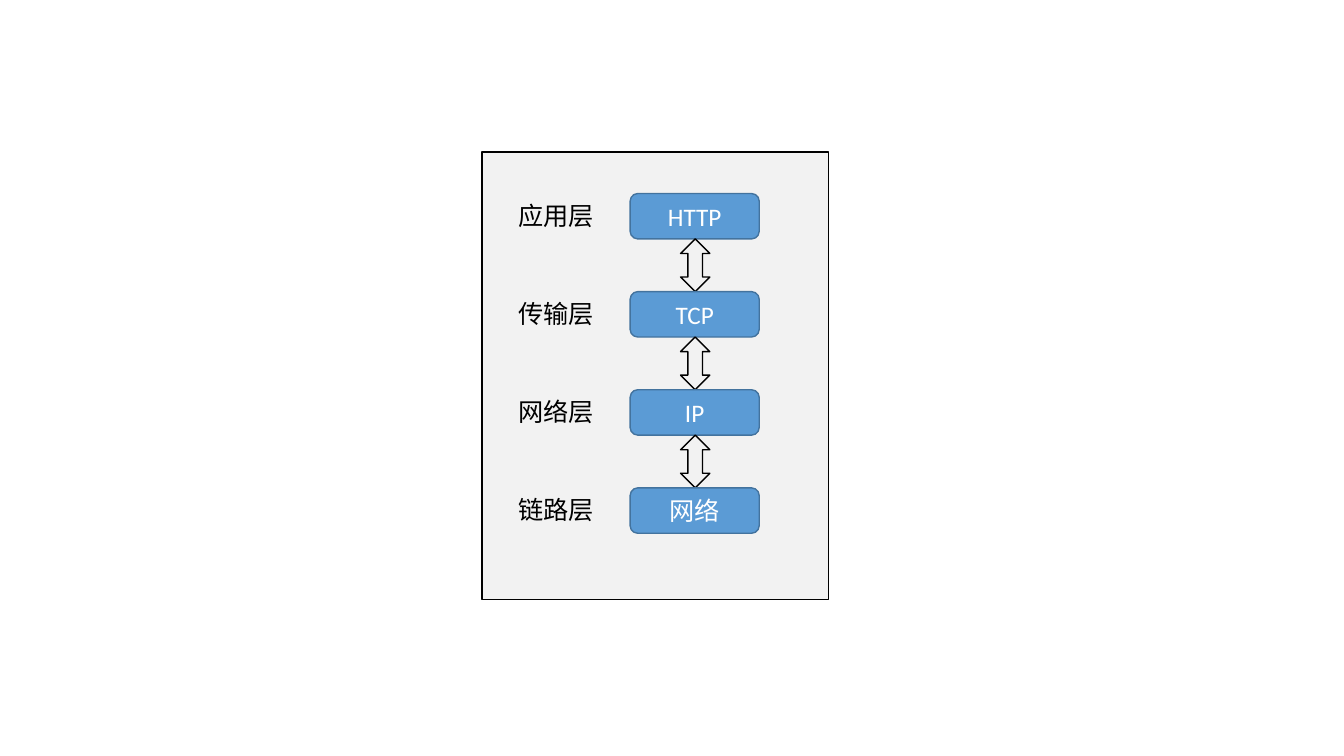
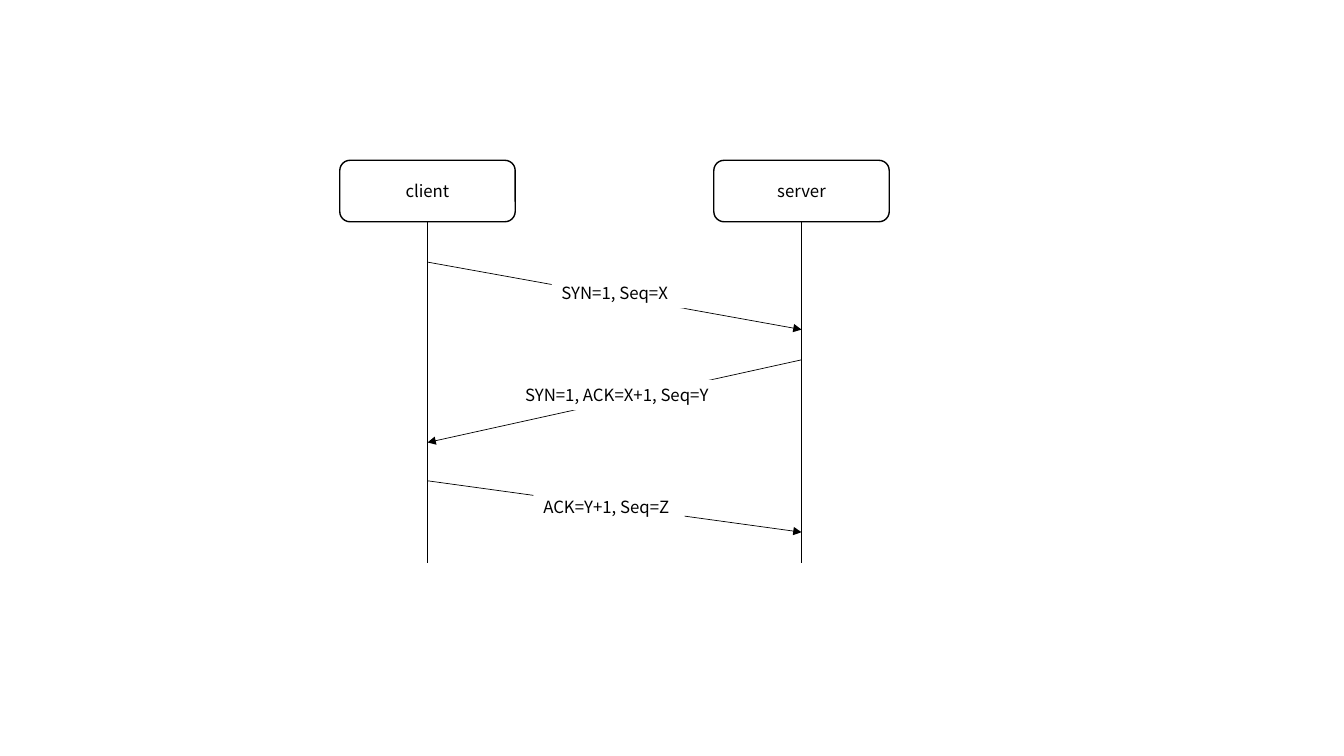
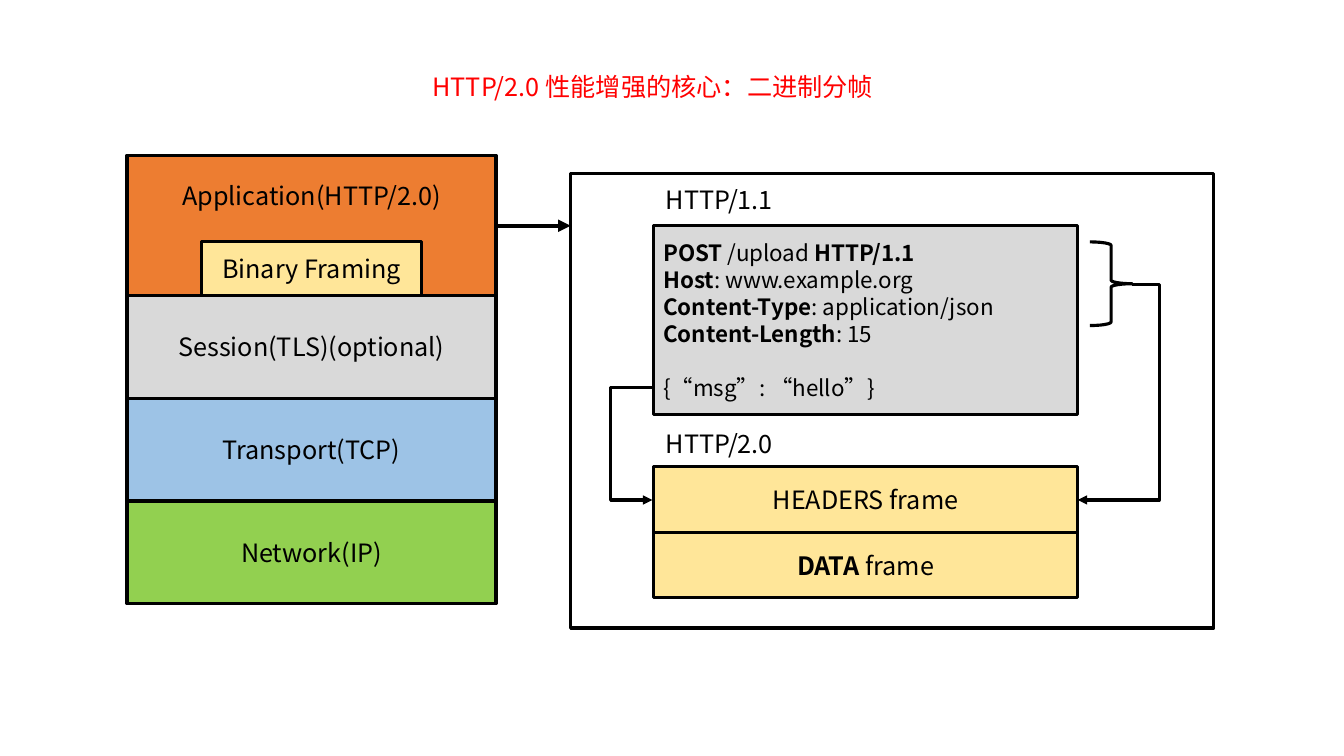
from lxml import etree
from pptx import Presentation
from pptx.dml.color import RGBColor
from pptx.enum.lang import MSO_LANGUAGE_ID
from pptx.enum.shapes import MSO_CONNECTOR, MSO_SHAPE
from pptx.enum.text import MSO_ANCHOR, MSO_AUTO_SIZE, PP_ALIGN
from pptx.oxml.ns import qn
from pptx.util import Inches, Pt

BLACK = RGBColor(0x00, 0x00, 0x00)
WHITE = RGBColor(0xFF, 0xFF, 0xFF)
RED = RGBColor(0xFF, 0x00, 0x00)
PALE_GRAY = RGBColor(0xF2, 0xF2, 0xF2)
GRAY = RGBColor(0xD9, 0xD9, 0xD9)
BLUE = RGBColor(0x5B, 0x9B, 0xD5)
DARK_BLUE = RGBColor(0x43, 0x73, 0x9E)
LIGHT_BLUE = RGBColor(0x9D, 0xC3, 0xE6)
ORANGE = RGBColor(0xED, 0x7D, 0x31)
GREEN = RGBColor(0x92, 0xD0, 0x50)
YELLOW = RGBColor(0xFF, 0xE6, 0x99)

CALIBRI = "Calibri"
NOTO = "Noto Sans CJK SC"


class Deck:
    """Holds the text style and the current slide."""

    def __init__(self):
        self.prs = Presentation()
        self.prs.slide_width = Inches(13.33)
        self.prs.slide_height = Inches(7.5)

    def new_slide(self, font, size, weight):
        self.slide = self.prs.slides.add_slide(self.prs.slide_layouts[6])
        self.font, self.size, self.weight = font, size, weight

    def fill_text(self, shape, text, color=BLACK, size=None, align=PP_ALIGN.CENTER):
        """Add one paragraph per line; **marks** set bold runs."""
        frame = shape.text_frame
        for i, line in enumerate(text.split("\n")):
            paragraph = frame.paragraphs[0] if i == 0 else frame.add_paragraph()
            paragraph.alignment = align
            for j, part in enumerate(line.split("**")):
                if not part:
                    continue
                run = paragraph.add_run()
                run.text = part
                font = run.font
                font.name, font.size = self.font, Pt(size or self.size)
                font.bold = j % 2 == 1
                font.color.rgb = color
                font.language_id = MSO_LANGUAGE_ID.SIMPLIFIED_CHINESE
                latin = font._element.find(qn("a:latin"))
                east_asian = etree.Element(qn("a:ea"), typeface=self.font)
                latin.addnext(east_asian)

    def box(self, x, y, w, h, text="", kind=MSO_SHAPE.RECTANGLE, fill=None,
            line=BLACK, **style):
        shape = self.slide.shapes.add_shape(
            kind, Inches(x), Inches(y), Inches(w), Inches(h))
        shape.shadow.inherit = False
        if fill is None:
            shape.fill.background()
        else:
            shape.fill.solid()
            shape.fill.fore_color.rgb = fill
        shape.line.color.rgb = line
        shape.line.width = Pt(self.weight)
        if text:
            shape.text_frame.vertical_anchor = MSO_ANCHOR.MIDDLE
            self.fill_text(shape, text, **style)
        return shape

    def label(self, x, y, w, h, text, wrap=False, **style):
        shape = self.slide.shapes.add_textbox(
            Inches(x), Inches(y), Inches(w), Inches(h))
        shape.text_frame.word_wrap = wrap
        shape.text_frame.auto_size = MSO_AUTO_SIZE.SHAPE_TO_FIT_TEXT
        self.fill_text(shape, text, **style)
        return shape

    def line(self, start, end, weight=None, arrow=True, bend_x=None):
        """Straight line, or an elbow that turns at bend_x."""
        kind = MSO_CONNECTOR.STRAIGHT if bend_x is None else MSO_CONNECTOR.ELBOW
        connector = self.slide.shapes.add_connector(
            kind, *(Inches(v) for v in (*start, *end)))
        connector.line.color.rgb = BLACK
        connector.line.width = Pt(weight or self.weight)
        properties = connector._element.spPr
        if bend_x is not None:
            share = (bend_x - start[0]) / (end[0] - start[0])
            geometry = properties.find(qn("a:prstGeom"))
            guides = geometry.get_or_add_avLst()
            etree.SubElement(guides, qn("a:gd"), name="adj1",
                             fmla=f"val {round(share * 100000)}")
        if arrow:
            etree.SubElement(properties.find(qn("a:ln")), qn("a:tailEnd"),
                             type="triangle")
        etree.SubElement(properties, qn("a:effectLst"))


deck = Deck()

# Slide 1: protocol stack
deck.new_slide(CALIBRI, 18, 1)
deck.box(4.78, 1.51, 3.44, 4.44, fill=PALE_GRAY)
LAYERS = [("应用层", "HTTP"), ("传输层", "TCP"), ("网络层", "IP"), ("链路层", "网络")]
FIRST_TOP, LAST_TOP, LAYER_H = 1.92, 4.84, 0.45
pitch = (LAST_TOP - FIRST_TOP) / (len(LAYERS) - 1)
for i, (layer, protocol) in enumerate(LAYERS):
    top = FIRST_TOP + i * pitch
    deck.box(6.25, top, 1.28, LAYER_H, protocol, MSO_SHAPE.ROUNDED_RECTANGLE,
             fill=BLUE, line=DARK_BLUE, color=WHITE)
    deck.label(5, top + 0.02, 1.03, 0.4, layer, wrap=True)
    if i < len(LAYERS) - 1:
        deck.box(6.75, top + LAYER_H, 0.29, pitch - LAYER_H,
                 kind=MSO_SHAPE.UP_DOWN_ARROW)

# Slide 2: three-way handshake
deck.new_slide(NOTO, 12, 1)
CLIENT_X, SERVER_X, HEAD_W = 4.24, 7.95, 1.74
for name, x in (("client", CLIENT_X), ("server", SERVER_X)):
    deck.box(x - HEAD_W / 2, 1.59, HEAD_W, 0.61, name,
             MSO_SHAPE.ROUNDED_RECTANGLE)
    deck.line((x, 2.2), (x, 5.59), weight=0.5, arrow=False)

MESSAGES = [
    ((CLIENT_X, 2.6), (SERVER_X, 3.27), "SYN=1, Seq=X", 5.47, 2.76, 1.32),
    ((SERVER_X, 3.57), (CLIENT_X, 4.39), "SYN=1, ACK=X+1, Seq=Y", 5.11, 3.77, 2.15),
    ((CLIENT_X, 4.77), (SERVER_X, 5.28), "ACK=Y+1, Seq=Z", 5.29, 4.88, 1.5),
]
for start, end, message, x, y, w in MESSAGES:
    deck.line(start, end, weight=0.5)
    caption = deck.label(x, y, w, 0.3, message, align=PP_ALIGN.LEFT)
    caption.fill.solid()
    caption.fill.fore_color.rgb = WHITE

# Slide 3: binary framing
deck.new_slide(NOTO, 18, 2.25)
deck.label(3.95, 0.66, 5.05, 0.4, "HTTP/2.0 性能增强的核心：二进制分帧", color=RED)

# Layer stack
STACK_X, STACK_W = 1.26, 3.66
application = deck.box(STACK_X, 1.54, STACK_W, 1.39, "Application(HTTP/2.0)",
                       fill=ORANGE)
application.text_frame.margin_bottom = Inches(0.65)
LOWER_LAYERS = [("Session(TLS)(optional)", GRAY), ("Transport(TCP)", LIGHT_BLUE),
                ("Network(IP)", GREEN)]
for i, (name, fill) in enumerate(LOWER_LAYERS):
    deck.box(STACK_X, 2.93 + i * 1.02, STACK_W, 1.02, name, fill=fill)
deck.box(2, 2.4, 2.18, 0.53, "Binary Framing", fill=YELLOW)

# Message panel
deck.box(5.66, 1.72, 6.38, 4.51)
deck.line((STACK_X + STACK_W, 2.24), (5.66, 2.24), weight=3)
MESSAGE_X, MESSAGE_W = 6.48, 4.21
request = deck.box(
    MESSAGE_X, 2.24, MESSAGE_W, 1.87,
    "**POST** /upload **HTTP/1.1**\n"
    "**Host**: www.example.org\n"
    "**Content-Type**: application/json\n"
    "**Content-Length**: 15\n"
    "{“msg”: “hello”}",
    fill=GRAY, size=16, align=PP_ALIGN.LEFT)
request.text_frame.paragraphs[-1].space_before = Pt(19)
for version, y in (("HTTP/1.1", 1.78), ("HTTP/2.0", 4.2)):
    deck.label(MESSAGE_X, y, 1.31, 0.4, version)
for i, frame_name in enumerate(("HEADERS frame", "**DATA** frame")):
    deck.box(MESSAGE_X, 4.63 + i * 0.65, MESSAGE_W, 0.65, frame_name, fill=YELLOW)

# Mapping from request to frames
deck.box(10.81, 2.4, 0.42, 0.83, kind=MSO_SHAPE.RIGHT_BRACE)
deck.line((11.23, 2.82), (MESSAGE_X + MESSAGE_W, 4.96), bend_x=11.5)
deck.line((MESSAGE_X, 3.84), (6.47, 4.96), bend_x=6.05)

deck.prs.save("out.pptx")
